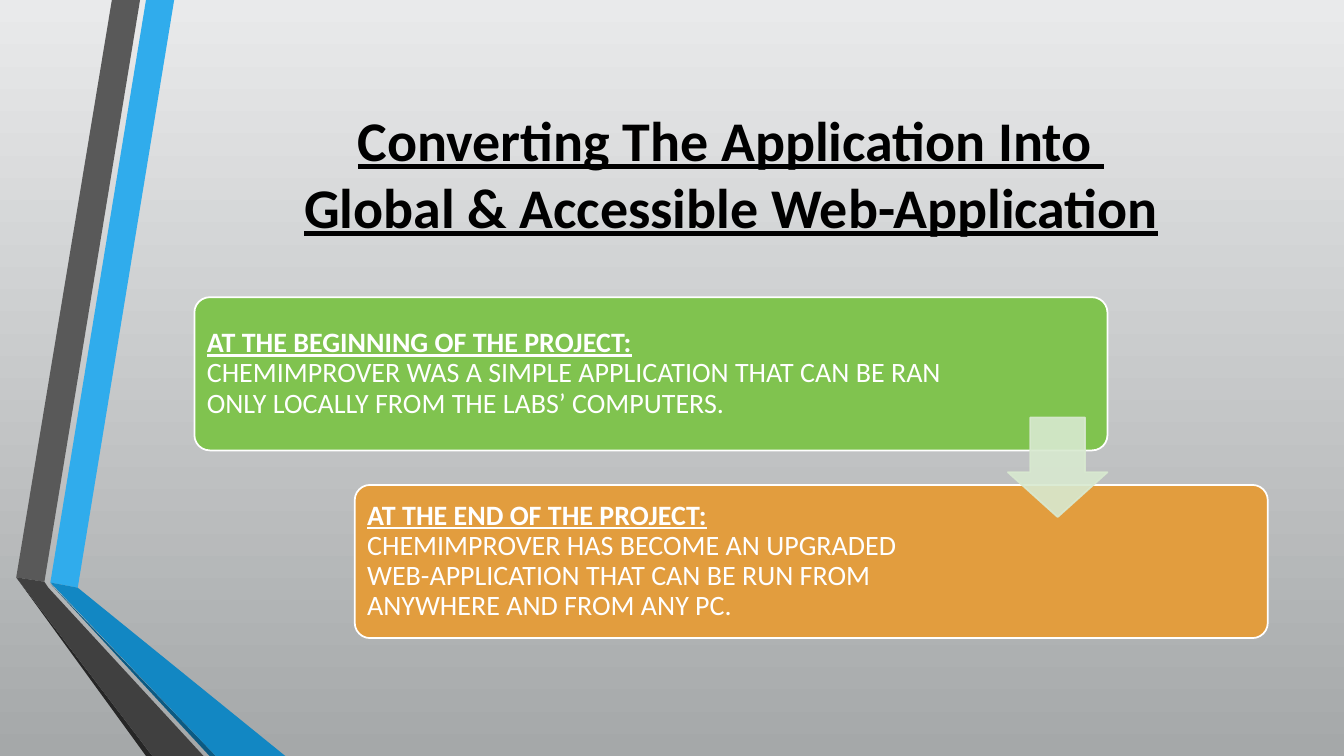
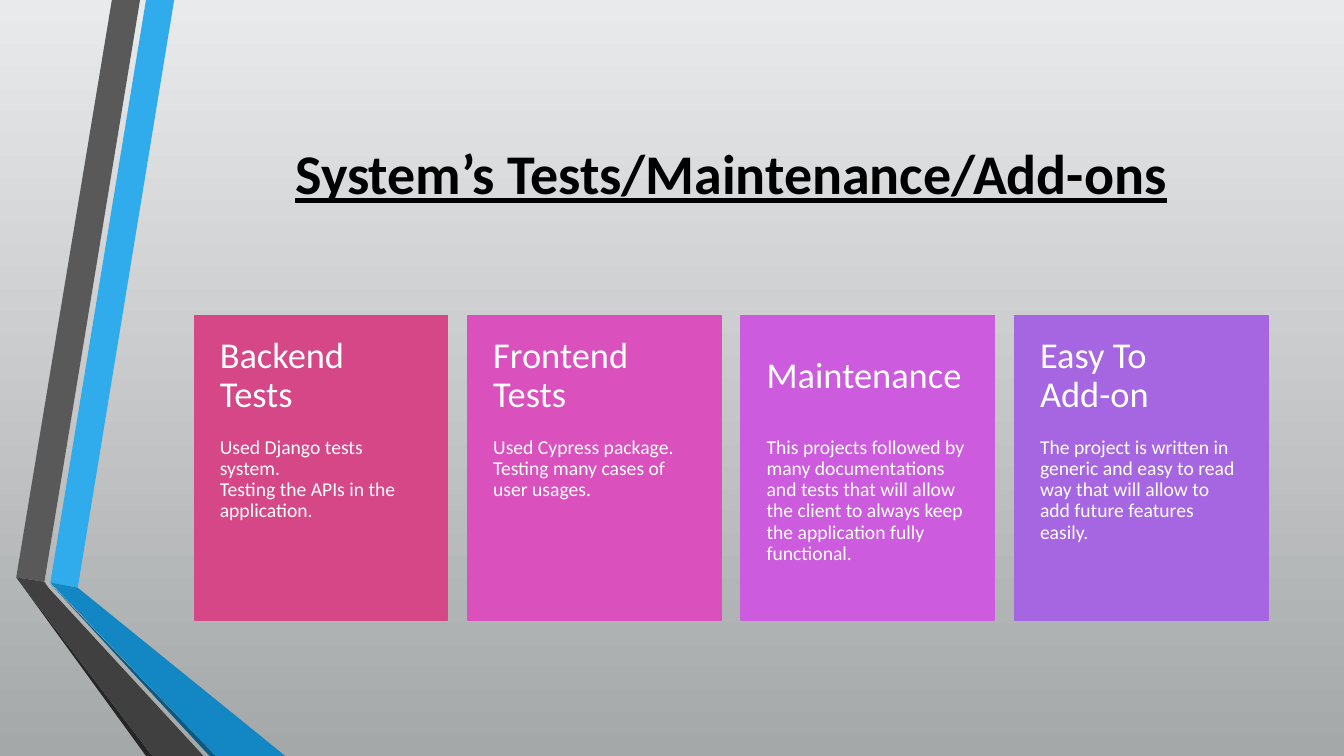
from dataclasses import dataclass

from lxml.etree import SubElement
from pptx import Presentation
from pptx.dml.color import RGBColor
from pptx.enum.shapes import MSO_SHAPE
from pptx.enum.text import MSO_ANCHOR, PP_ALIGN
from pptx.oxml.ns import qn
from pptx.util import Cm, Pt


@dataclass(frozen=True)
class Theme:
    font: str = "Calibri"
    title_size: int = 40
    heading_size: int = 26
    stage_size: int = 20
    body_size: int = 14
    line_width: float = 1.25
    ink: str = "000000"
    paper: str = "FFFFFF"
    arrow: str = "D8E9D0"
    background: tuple = ("E9EAEB", "A5A8A9")


THEME = Theme()

# Content: stages are (heading, text, fill, right inset), cards are (heading, text, fill)
CONVERSION_TITLE = "Converting The Application Into \nGlobal & Accessible Web-Application"
STAGES = [
    ("AT THE BEGINNING OF THE PROJECT:",
     "CHEMIMPROVER WAS A SIMPLE APPLICATION THAT CAN BE RAN ONLY LOCALLY FROM THE LABS’ COMPUTERS.",
     "80C34F", 4),
    ("AT THE END OF THE PROJECT:",
     "CHEMIMPROVER HAS BECOME AN UPGRADED\n"
     "WEB-APPLICATION THAT CAN BE RUN FROM ANYWHERE AND FROM ANY PC.",
     "E29D3E", 6.8),
]
TESTS_TITLE = "System’s Tests/Maintenance/Add-ons"
CARDS = [
    ("Backend Tests",
     "Used Django tests system.\nTesting the APIs in the application.", "D64787"),
    ("Frontend Tests",
     "Used Cypress package.\nTesting many cases of user usages.", "DA51BD"),
    ("Maintenance",
     "This projects followed by many documentations and tests that will allow "
     "the client to always keep the application fully functional.", "CC5BDE"),
    ("Easy To\nAdd-on",
     "The project is written in generic and easy to read way that will allow to "
     "add future features easily.", "A666E1"),
]

# Geometry in centimetres
WIDTH, HEIGHT = 33.87, 19.05
LEFT, CONTENT_WIDTH = 4.9, 27.05
BANDS = [
    ("30ACEC", [(1.27, 14.68), (1.96, 14.81), (4.39, 0), (3.68, 0)]),
    ("595959", [(3.53, 0), (2.82, 0), (0.41, 14.55), (1.12, 14.66)]),
    ("262626", [(0.41, 14.55), (3.68, HEIGHT), (3.84, HEIGHT)]),
    ("0C5A82", [(1.27, 14.71), (5.28, HEIGHT), (5.44, HEIGHT)]),
    ("1287C3", [(1.27, 14.68), (5.44, HEIGHT), (7.19, HEIGHT), (1.96, 14.81)]),
    ("404040", [(5.13, HEIGHT), (1.22, 14.81), (1.12, 14.66), (0.41, 14.55), (3.84, HEIGHT)]),
]


def paint(sp, fill, line=None):
    sp.shadow.inherit = False
    sp.fill.solid()
    sp.fill.fore_color.rgb = RGBColor.from_string(fill)
    if line:
        sp.line.color.rgb = RGBColor.from_string(line)
        sp.line.width = Pt(THEME.line_width)
    else:
        sp.line.fill.background()


def add_panel(slide, kind, box, fill, line):
    sp = slide.shapes.add_shape(kind, *map(Cm, box))
    paint(sp, fill, line)
    return sp


def write(sp, text, size, color=THEME.paper, anchor=MSO_ANCHOR.MIDDLE,
          align=PP_ALIGN.LEFT, insets=(0.25, 0.13, 0.25, 0.13), spacing=0.9, strong=0):
    """Fill a shape with text; the first `strong` paragraphs are bold and underlined."""
    tf = sp.text_frame
    tf.text = text
    tf.word_wrap = True
    tf.vertical_anchor = anchor
    tf.margin_left, tf.margin_top, tf.margin_right, tf.margin_bottom = map(Cm, insets)
    for i, p in enumerate(tf.paragraphs):
        p.alignment = align
        p.line_spacing = spacing
        for r in p.runs:
            r.font.name = THEME.font
            r.font.size = Pt(size)
            r.font.color.rgb = RGBColor.from_string(color)
            r.font.bold = r.font.underline = i < strong


def set_background(master):
    fill = master.background.fill
    fill.gradient()
    fill.gradient_angle = 270
    for stop, position, color in zip(fill.gradient_stops, (0, 1), THEME.background):
        stop.position = position
        stop.color.rgb = RGBColor.from_string(color)


def add_slide(prs, title):
    """Start a slide with the shared bands and title."""
    s = prs.slides.add_slide(prs.slide_layouts[6])
    bands = s.shapes.add_group_shape()
    for color, points in BANDS:
        start, *rest = [(Cm(x), Cm(y)) for x, y in points]
        outline = bands.shapes.build_freeform(*start)
        outline.add_line_segments(rest, close=True)
        paint(outline.convert_to_shape(), color)
    box = s.shapes.add_textbox(Cm(LEFT), Cm(1.9), Cm(CONTENT_WIDTH), Cm(4.88))
    write(box, title, THEME.title_size, THEME.ink, align=PP_ALIGN.CENTER,
          spacing=1, strong=len(title.split("\n")))
    return s


def add_stages(s):
    width, height, top, pitch = 23.01, 3.86, 7.49, 4.73
    shift = CONTENT_WIDTH - width
    for i, (heading, text, color, right) in enumerate(STAGES):
        box = (LEFT + i * shift, top + i * pitch, width, height)
        sp = add_panel(s, MSO_SHAPE.ROUNDED_RECTANGLE, box, color, THEME.paper)
        sp.adjustments[0] = 0.1
        write(sp, f"{heading}\n{text}", THEME.stage_size,
              insets=(0.2, 0.2, right, 0.2), strong=1)
    # Translucent arrow between the stages
    size = 2.51
    arrow = add_panel(s, MSO_SHAPE.DOWN_ARROW, (LEFT + width - size, 10.52, size, size),
                      THEME.arrow, THEME.arrow)
    arrow.adjustments[0], arrow.adjustments[1] = 0.55, 0.45
    for color in arrow.element.spPr.iter(qn("a:srgbClr")):
        SubElement(color, qn("a:alpha")).set("val", "90000")


def add_cards(s):
    width, height, top, heading_height, pad = 6.38, 7.67, 7.95, 3.07, 0.64
    pitch = (CONTENT_WIDTH - width) / (len(CARDS) - 1)
    for i, (heading, text, color) in enumerate(CARDS):
        x = LEFT + i * pitch
        card = add_panel(s, MSO_SHAPE.RECTANGLE, (x, top, width, height), color, color)
        write(card, text, THEME.body_size, anchor=MSO_ANCHOR.TOP,
              insets=(pad, heading_height, pad, 0.91))
        box = s.shapes.add_textbox(Cm(x), Cm(top), Cm(width), Cm(heading_height))
        write(box, heading, THEME.heading_size, insets=(pad, 0.46, pad, 0.46))


def main():
    prs = Presentation()
    prs.slide_width, prs.slide_height = Cm(WIDTH), Cm(HEIGHT)
    set_background(prs.slide_master)
    add_stages(add_slide(prs, CONVERSION_TITLE))
    add_cards(add_slide(prs, TESTS_TITLE))
    prs.save("out.pptx")


if __name__ == "__main__":
    main()
